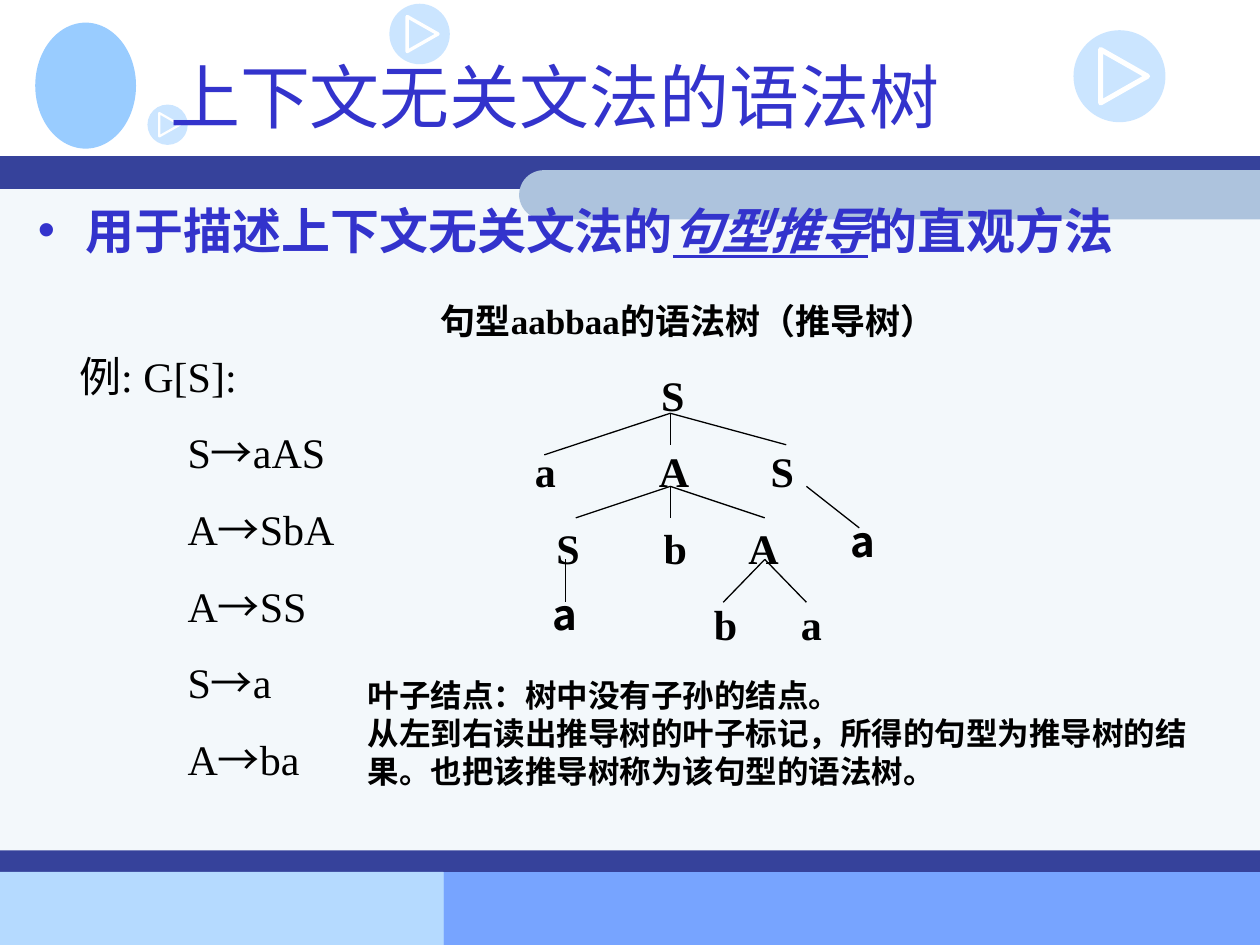
import pptx
import pptx.util
import pptx.dml.color
import pptx.enum.shapes
import pptx.enum.text
import pptx.oxml
import pptx.oxml.ns
import lxml.etree

Inches = pptx.util.Inches
Pt = pptx.util.Pt
Shapes = pptx.enum.shapes.MSO_SHAPE
qn = pptx.oxml.ns.qn
rgb = pptx.dml.color.RGBColor.from_string
CJK = "Noto Sans CJK SC"
SERIF = "Times New Roman"


def add_block(kind, left, top, width, height, color=None):
    block = slide.shapes.add_shape(kind, Inches(left), Inches(top), Inches(width), Inches(height))
    block.shadow.inherit = False
    block.line.fill.background()
    if color:
        block.fill.solid()
        block.fill.fore_color.rgb = rgb(color)
    else:
        block.fill.background()
    return block


def format_paragraph(para, size, face, color="000000", bold=True):
    font = para.font
    font.size = Pt(size)
    font.bold = bold
    font.color.rgb = rgb(color)
    font.name = face
    east_asian = lxml.etree.SubElement(para._p.pPr.find(qn("a:defRPr")), qn("a:ea"))
    east_asian.set("typeface", CJK)


deck = pptx.Presentation()
deck.slide_width = Inches(10)
deck.slide_height = Inches(7.5)
slide = deck.slides.add_slide(deck.slide_layouts[1])

for left, top, width, height, color in [
    (0, 6.92, 4.25, 0.58, "B5DAFF"),
    (3.52, 6.91, 6.48, 0.59, "77A4FF"),
    (0, 1.4, 10, 5.51, "F3F8FB"),
    (0, 1.24, 10, 0.26, "36429B"),
    (0, 6.75, 10, 0.17, "36429B"),
]:
    add_block(Shapes.RECTANGLE, left, top, width, height, color)
slide.shapes[2].element.addnext(slide.shapes[3].element)
light_blue_footer = add_block(Shapes.RECTANGLE, 0, 6.92, 3.52, 0.58, "B5DAFF")

band_width, band_height = 5.88, 0.39
band = add_block(
    Shapes.ROUND_2_SAME_RECTANGLE,
    4.12 + (band_width - band_height) / 2,
    1.35 - (band_width - band_height) / 2,
    band_height, band_width, "ADC3DD",
)
band.adjustments[0] = 0.5
band.rotation = 270

add_block(Shapes.OVAL, 0.28, 0.18, 0.8, 1, "99CCFF")

for left, top, size in [(3.09, 0.03, 0.48), (8.52, 0.24, 0.73), (1.17, 0.83, 0.32)]:
    disc = add_block(Shapes.OVAL, left, top, size, size, "99CCFF")
    fill_color = disc.element.spPr.find(qn("a:solidFill"))[0]
    lxml.etree.SubElement(fill_color, qn("a:alpha")).set("val", "50000")
    base, depth = size * 0.58, size * 0.51
    play = add_block(
        Shapes.ISOSCELES_TRIANGLE,
        left + size * 0.55 - base / 2, top + (size - depth) / 2, base, depth,
    )
    play.rotation = 90
    play.line.color.rgb = rgb("FFFFFF")
    play.line.width = Pt(size * 4)

title, body = slide.placeholders[0], slide.placeholders[1]
for holder, left, top, width, height in [(title, 1.25, 0.17, 8.5, 1.17), (body, 0.2, 1.54, 9.61, 4.96)]:
    holder.left, holder.top = Inches(left), Inches(top)
    holder.width, holder.height = Inches(width), Inches(height)
    holder.text_frame.auto_size = pptx.enum.text.MSO_AUTO_SIZE.NONE
    holder.element.getparent().append(holder.element)

title.text_frame.text = "上下文无关文法的语法树"
title.text_frame.vertical_anchor = pptx.enum.text.MSO_ANCHOR.MIDDLE
para = title.text_frame.paragraphs[0]
para.alignment = pptx.enum.text.PP_ALIGN.LEFT
format_paragraph(para, 40, CJK, "3333CC", False)

para = body.text_frame.paragraphs[0]
for text, emphasis in [("用于描述上下文无关文法的", False), ("句型推导", True), ("的直观方法", False)]:
    span = para.add_run()
    span.text = text
    if emphasis:
        span.font.italic = True
        span.font.underline = True
properties = para._p.get_or_add_pPr()
properties.set("marL", str(Inches(0.38)))
properties.set("indent", str(Inches(-0.38)))
para.space_before = Pt(0)
lxml.etree.SubElement(properties, qn("a:buChar")).set("char", "•")
format_paragraph(para, 28, SERIF, "3333CC")

grammar = ["例: G[S]:", "S→aAS", "A→SbA", "A→SS", "S→a", "A→ba"]
tree_rows = ["\tS", "\ta\tA\tS", "\tS\tb\tA", "\tb\ta"]
tree_stops = [[2.17], [1.16, 2.18, 3.04], [1.34, 2.19, 2.89], [2.59, 3.27]]
conclusion = "叶子结点：树中没有子孙的结点。\v从左到右读出推导树的叶子标记，所得的句型为推导树的结果。也把该推导树称为该句型的语法树。"

for left, top, width, height, lines, indents, stops, size, face, bold in [
    (0.39, 2.73, 4.42, 3.54, grammar, [0.14] + [1] * 5, [], 24, SERIF, False),
    (3.07, 2.88, 4.58, 2.33, tree_rows, [0] * 4, tree_stops, 24, SERIF, True),
    (3.4, 2.33, 4.71, 0.44, ["句型aabbaa的语法树（推导树）"], [0], [], 20, SERIF, True),
    (2.82, 5.32, 6.75, 1, [conclusion], [0], [], 18, SERIF, True),
    (6.65, 4.04, 0.4, 0.5, ["a"], [0], [], 24, CJK, True),
    (4.29, 4.62, 0.4, 0.5, ["a"], [0], [], 24, CJK, True),
]:
    box = slide.shapes.add_textbox(Inches(left), Inches(top), Inches(width), Inches(height))
    frame = box.text_frame
    frame.word_wrap = True
    for number, text in enumerate(lines):
        para = frame.add_paragraph() if number else frame.paragraphs[0]
        head, arrow, tail = text.partition("→")
        if arrow:
            for part in (head, arrow, tail):
                span = para.add_run()
                span.text = part
                if part == arrow:
                    span.font.name = CJK
        else:
            para.text = text
        para.line_spacing = Pt(size * 1.2)
        if number:
            para.space_before = Pt(15)
        properties = para._p.get_or_add_pPr()
        properties.set("marL", str(Inches(indents[number])))
        if stops:
            tab_list = lxml.etree.SubElement(properties, qn("a:tabLst"))
            for stop in stops[number]:
                tab = lxml.etree.SubElement(tab_list, qn("a:tab"))
                tab.set("pos", str(Inches(stop)))
                tab.set("algn", "ctr")
        format_paragraph(para, size, face, bold=bold)

for parent_x, parent_y, children in [
    (5.32, 3.28, [(5.32, 3.53), (4.32, 3.61), (6.24, 3.53)]),
    (5.32, 3.86, [(5.32, 4.11), (4.57, 4.11), (6.07, 4.11)]),
    (6.4, 3.86, [(6.82, 4.19)]),
    (4.49, 4.44, [(4.49, 4.78)]),
    (6.07, 4.44, [(5.74, 4.78), (6.4, 4.78)]),
]:
    for child_x, child_y in children:
        branch = slide.shapes.add_connector(
            pptx.enum.shapes.MSO_CONNECTOR.STRAIGHT,
            Inches(parent_x), Inches(parent_y), Inches(child_x), Inches(child_y),
        )
        branch.line.color.rgb = rgb("000000")
        branch.line.width = Pt(0.75)
        lxml.etree.SubElement(branch.element.spPr, qn("a:effectLst"))

deck.save("out.pptx")
